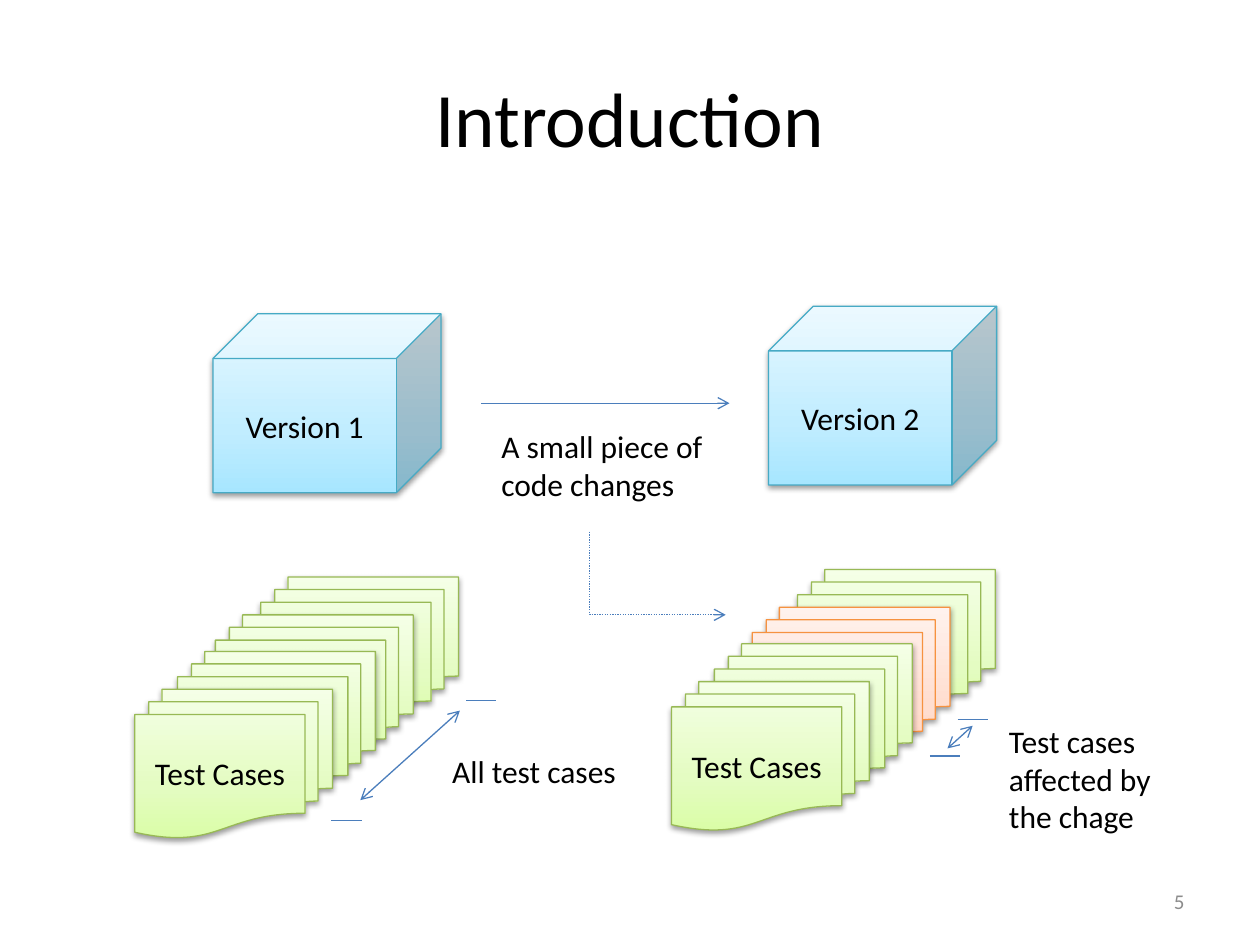
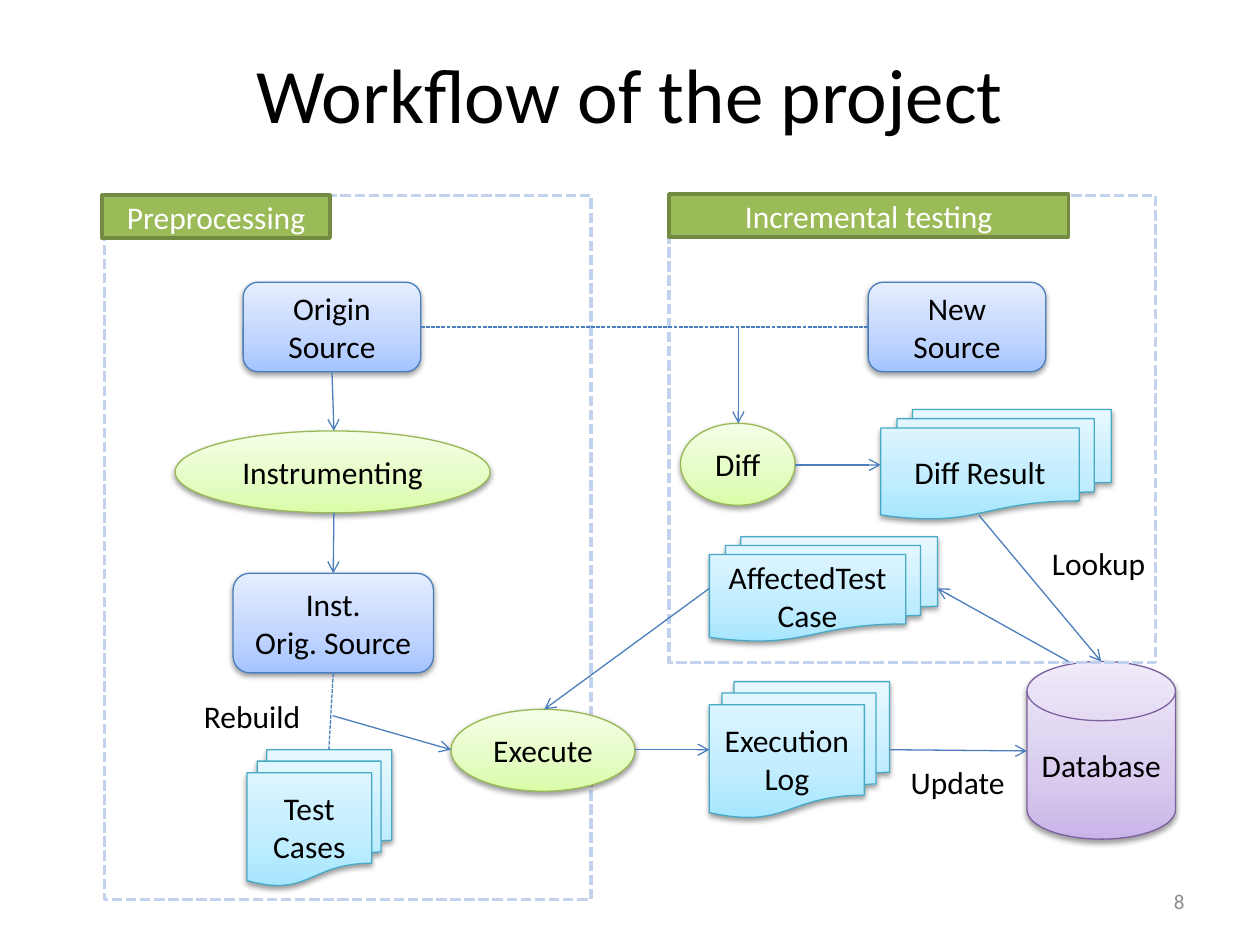
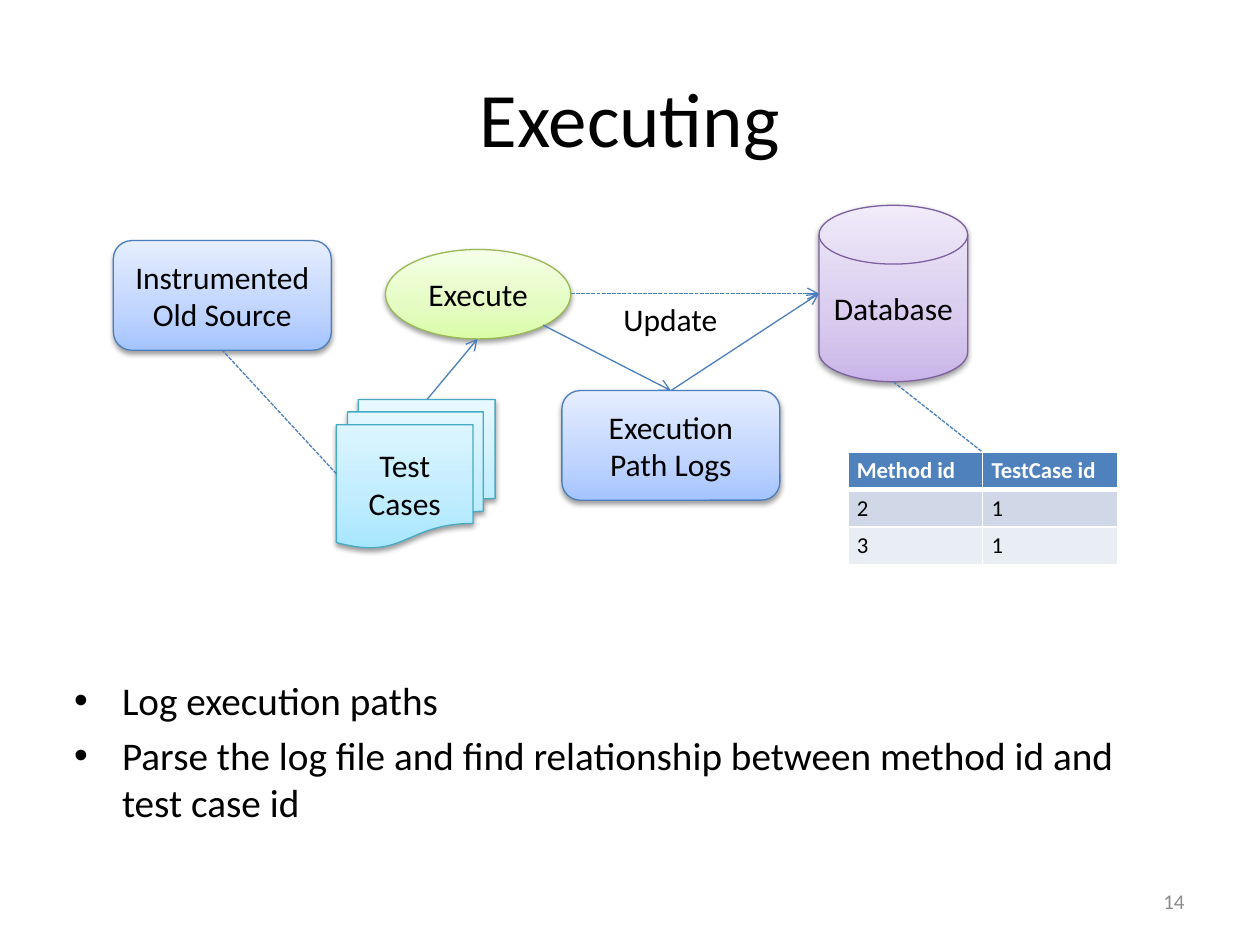
import copy

import pptx
import pptx.util
import pptx.dml.color
import pptx.enum.dml
import pptx.enum.shapes
import pptx.enum.text
import pptx.oxml.ns
from lxml import etree

PX = 9144
FONT = "Calibri"
RGB = pptx.dml.color.RGBColor
KIND = pptx.enum.shapes.MSO_SHAPE
CONN = pptx.enum.shapes.MSO_CONNECTOR
ALIGN = pptx.enum.text.PP_ALIGN
ANCHOR = pptx.enum.text.MSO_ANCHOR
DASH = pptx.enum.dml.MSO_LINE.SQUARE_DOT
DOT = pptx.enum.dml.MSO_LINE.ROUND_DOT
qn = pptx.oxml.ns.qn
Pt = pptx.util.Pt

BLACK = RGB(0x00, 0x00, 0x00)
WHITE = RGB(0xFF, 0xFF, 0xFF)
GREY = RGB(0x8C, 0x8C, 0x8C)
LINE = RGB(0x4B, 0x7E, 0xBC)
FRAME = RGB(0xC2, 0xD1, 0xED)
TAG = RGB(0x9B, 0xBB, 0x59)
TAG_EDGE = RGB(0x73, 0x8A, 0x42)
HEADER = RGB(0x4F, 0x81, 0xBD)
BANDS = [RGB(0xD0, 0xD8, 0xE8), RGB(0xE9, 0xED, 0xF4)]

AQUA = (RGB(0x46, 0xAA, 0xC5), RGB(0xA7, 0xE6, 0xFF), RGB(0xC1, 0xED, 0xFF), RGB(0xE7, 0xF8, 0xFF))
GREEN = (RGB(0x98, 0xB9, 0x55), RGB(0xDA, 0xFD, 0xA7), RGB(0xE4, 0xFC, 0xC2), RGB(0xF5, 0xFF, 0xE7))
ORANGE = (RGB(0xF6, 0x92, 0x40), RGB(0xFF, 0xD2, 0xBD), RGB(0xFF, 0xDE, 0xD0), RGB(0xFF, 0xF2, 0xED))
BLUE = (LINE, RGB(0xA4, 0xC4, 0xFF), RGB(0xBF, 0xD4, 0xFF), RGB(0xE6, 0xEE, 0xFF))
PURPLE = (RGB(0x7D, 0x60, 0xA0), RGB(0xC9, 0xB5, 0xE8), RGB(0xD8, 0xCB, 0xEE), RGB(0xF0, 0xEA, 0xF9))


def add_box(s, kind, x, y, w, h, text="", style=None, size=18, color=BLACK, align=None):
    at = [v * PX for v in (x, y, w, h)]
    if kind is None:
        sp = s.shapes.add_textbox(*at)
    else:
        sp = s.shapes.add_shape(kind, *at)
        sp.shadow.inherit = False
        align = ALIGN.CENTER
    if style:
        edge, *shades = style
        sp.line.color.rgb = edge
        sp.line.width = Pt(0.75)
        sp.fill.gradient()
        sp.fill.gradient_angle = 90
        stops = sp.element.spPr.find(".//" + qn("a:gsLst"))
        stops.insert(1, copy.deepcopy(stops[0]))
        for stop, position, shade in zip(sp.fill.gradient_stops, (0, 0.35, 1), shades):
            stop.position = position
            stop.color.rgb = shade
        effects = sp.element.spPr.find(qn("a:effectLst"))
        shadow = etree.SubElement(effects, qn("a:outerShdw"), blurRad="40000", dist="20000",
                                  dir="5400000", rotWithShape="0")
        black = etree.SubElement(shadow, qn("a:srgbClr"), val="000000")
        etree.SubElement(black, qn("a:alpha"), val="38000")
    tf = sp.text_frame
    tf.word_wrap = kind is not None
    tf.text = text
    for p in tf.paragraphs:
        p.alignment = align
        p.font.size = Pt(size)
        p.font.name = FONT
        p.font.color.rgb = color
    return sp


def add_line(s, x1, y1, x2, y2, head=False, tail=True, dash=None, begin=None, end=None,
             kind=CONN.STRAIGHT):
    c = s.shapes.add_connector(kind, x1 * PX, y1 * PX, x2 * PX, y2 * PX)
    if begin:
        c.begin_connect(*begin)
    if end:
        c.end_connect(*end)
    c.line.color.rgb = LINE
    c.line.width = Pt(0.75)
    if dash:
        c.line.dash_style = dash
    ln = c.element.spPr.find(qn("a:ln"))
    for shown, tag in ((head, "a:headEnd"), (tail, "a:tailEnd")):
        if shown:
            etree.SubElement(ln, qn(tag), type="arrow")
    etree.SubElement(c.element.spPr, qn("a:effectLst"))
    return c


prs = pptx.Presentation()
prs.slide_width = 1000 * PX
prs.slide_height = 750 * PX

slides = []
for title, title_height, number in (("Introduction", 125, "5"),
                                    ("Workflow of the project", 87, "8"),
                                    ("Executing", 125, "14")):
    s = prs.slides.add_slide(prs.slide_layouts[6])
    heading = add_box(s, None, 50, 30, 900, title_height, title, size=44, align=ALIGN.CENTER)
    page = add_box(s, None, 717, 695, 233, 40, number, size=12, color=GREY, align=ALIGN.RIGHT)
    for sp in (heading, page):
        sp.text_frame.word_wrap = True
        sp.text_frame.vertical_anchor = ANCHOR.MIDDLE
    slides.append(s)
intro, workflow, executing = slides

s = intro
for x, y, text in ((169, 249, "Version 1"), (610, 243, "Version 2")):
    add_box(s, KIND.CUBE, x, y, 181, 142, text, AQUA)
add_line(s, 382, 320, 579, 320)
for front_x, front_y, second_style in ((107, 547, GREEN), (533, 541, ORANGE)):
    for dx, dy, text, style in ((100, -89, "", GREEN), (64, -59, "", second_style),
                                (34, -30, "", GREEN), (0, 0, "Test Cases", GREEN)):
        add_box(s, KIND.FLOWCHART_MULTIDOCUMENT, front_x + dx, front_y + dy, 157, 118, text, style)
for x, y in ((370, 556), (263, 651), (760, 571), (738, 600)):
    add_line(s, x, y, x + 24, y, tail=False)
add_line(s, 286, 635, 365, 564, head=True)
add_line(s, 752, 594, 772, 576, head=True)
elbow = add_line(s, 468, 422, 576, 488, dash=DOT, kind=CONN.ELBOW)
guides = elbow.element.spPr.find(".//" + qn("a:avLst"))
etree.SubElement(guides, qn("a:gd"), name="adj1", fmla="val 0")
add_box(s, None, 388, 334, 188, 71, "A small piece of\ncode changes")
add_box(s, None, 349, 592, 151, 40, "All test cases")
add_box(s, None, 791, 568, 140, 101, "Test cases\naffected by\nthe chage")

s = workflow
preprocessing = add_box(s, KIND.RECTANGLE, 83, 155, 386, 559)
origin = add_box(s, KIND.ROUNDED_RECTANGLE, 193, 224, 141, 71, "Origin Source", BLUE)
add_box(s, KIND.OVAL, 139, 342, 250, 65, "Instrumenting", GREEN)
add_box(s, KIND.FLOWCHART_MULTIDOCUMENT, 196, 595, 115, 108, "Test Cases", AQUA)
instrumented = add_box(s, KIND.ROUNDED_RECTANGLE, 185, 455, 159, 79, "Inst.\nOrig. Source", BLUE)
add_box(s, KIND.OVAL, 358, 563, 146, 65, "Execute", GREEN)
add_box(s, KIND.FLOWCHART_MAGNETIC_DISK, 815, 525, 118, 141, "Database", PURPLE)
add_box(s, KIND.FLOWCHART_MULTIDOCUMENT, 563, 541, 143, 108, "Execution\nLog", AQUA)
incremental = add_box(s, KIND.RECTANGLE, 531, 155, 386, 371)
new = add_box(s, KIND.ROUNDED_RECTANGLE, 689, 224, 141, 71, "New\nSource", BLUE)
add_box(s, KIND.OVAL, 540, 336, 91, 65, "Diff", GREEN)
add_box(s, KIND.FLOWCHART_MULTIDOCUMENT, 699, 325, 183, 87, "Diff Result", AQUA)
add_box(s, KIND.FLOWCHART_MULTIDOCUMENT, 563, 426, 181, 83, "AffectedTest Case", AQUA)
for sp in (preprocessing, incremental):
    sp.fill.background()
    sp.line.color.rgb = FRAME
    sp.line.width = Pt(2)
    sp.line.dash_style = DASH
for x, y, w, text in ((81, 155, 181, "Preprocessing"), (531, 154, 317, "Incremental testing")):
    sp = add_box(s, KIND.RECTANGLE, x, y, w, 34, text, color=WHITE)
    sp.fill.solid()
    sp.fill.fore_color.rgb = TAG
    sp.line.color.rgb = TAG_EDGE
    sp.line.width = Pt(2)
add_line(s, 264, 295, 265, 342, begin=(origin, 2))
add_line(s, 265, 407, 265, 455, end=(instrumented, 0))
add_line(s, 261, 595, 265, 534, tail=False, dash=DASH, end=(instrumented, 2))
add_line(s, 334, 259, 689, 259, tail=False, dash=DASH, begin=(origin, 3), end=(new, 1))
for ends in ((264, 568, 358, 595), (504, 595, 563, 595), (706, 595, 815, 596),
             (586, 259, 586, 336), (631, 369, 699, 369), (777, 409, 874, 525),
             (848, 525, 744, 467), (563, 467, 432, 563)):
    add_line(s, *ends)
for x, y, w, text in ((152, 548, 98, "Rebuild"), (713, 601, 96, "Update"), (825, 427, 94, "Lookup")):
    add_box(s, None, x, y, w, 40, text)

s = executing
add_box(s, KIND.FLOWCHART_MULTIDOCUMENT, 267, 317, 126, 118, "Test Cases", AQUA)
old = add_box(s, KIND.ROUNDED_RECTANGLE, 90, 191, 173, 87, "Instrumented\nOld Source", BLUE)
logs = add_box(s, KIND.ROUNDED_RECTANGLE, 446, 310, 173, 87, "Execution Path Logs", BLUE)
add_box(s, KIND.OVAL, 306, 198, 147, 71, "Execute", GREEN)
add_box(s, KIND.FLOWCHART_MAGNETIC_DISK, 650, 163, 118, 140, "Database", PURPLE)
add_line(s, 339, 317, 379, 269)
add_line(s, 267, 376, 177, 278, tail=False, dash=DASH, end=(old, 2))
add_line(s, 453, 233, 650, 233, dash=DASH)
add_line(s, 709, 303, 780, 359, tail=False, dash=DASH)
add_line(s, 431, 258, 533, 310, end=(logs, 0))
add_line(s, 533, 310, 650, 233, begin=(logs, 0))
add_box(s, None, 485, 233, 97, 40, "Update")

body = add_box(s, None, 49, 532, 885, 118, "Log execution paths\nParse the log file and find "
               "relationship between method id and test case id", size=22.4)
body.text_frame.word_wrap = True
for i, p in enumerate(body.text_frame.paragraphs):
    pPr = p._p.get_or_add_pPr()
    pPr.set("marL", str(38 * PX))
    pPr.set("indent", str(-38 * PX))
    bullet_font = etree.Element(qn("a:buFont"), typeface="Arial")
    bullet = etree.Element(qn("a:buChar"), char="•")
    pPr.insert(0, bullet_font)
    pPr.insert(1, bullet)
    if i:
        p.space_before = Pt(4.5)

rows = (("Method id", "TestCase id"), ("2", "1"), ("3", "1"))
table = s.shapes.add_table(3, 2, 673 * PX, 359 * PX, 214 * PX, 88 * PX).table
for i, row in enumerate(rows):
    for j, text in enumerate(row):
        cell = table.cell(i, j)
        cell.margin_left = cell.margin_right = 7 * PX
        cell.margin_top = cell.margin_bottom = 4 * PX
        tcPr = cell._tc.get_or_add_tcPr()
        for side in "LRTB":
            thick = (i, side) in ((0, "B"), (1, "T"))
            ln = etree.SubElement(tcPr, qn("a:ln" + side), w=str(Pt(3 if thick else 1)))
            fill = etree.SubElement(ln, qn("a:solidFill"))
            etree.SubElement(fill, qn("a:srgbClr"), val=str(WHITE))
        cell.fill.solid()
        cell.fill.fore_color.rgb = BANDS[i - 1] if i else HEADER
        cell.text = text
        font = cell.text_frame.paragraphs[0].runs[0].font
        font.size = Pt(13)
        font.name = FONT
        font.bold = i == 0
        font.color.rgb = BLACK if i else WHITE

prs.save("out.pptx")
